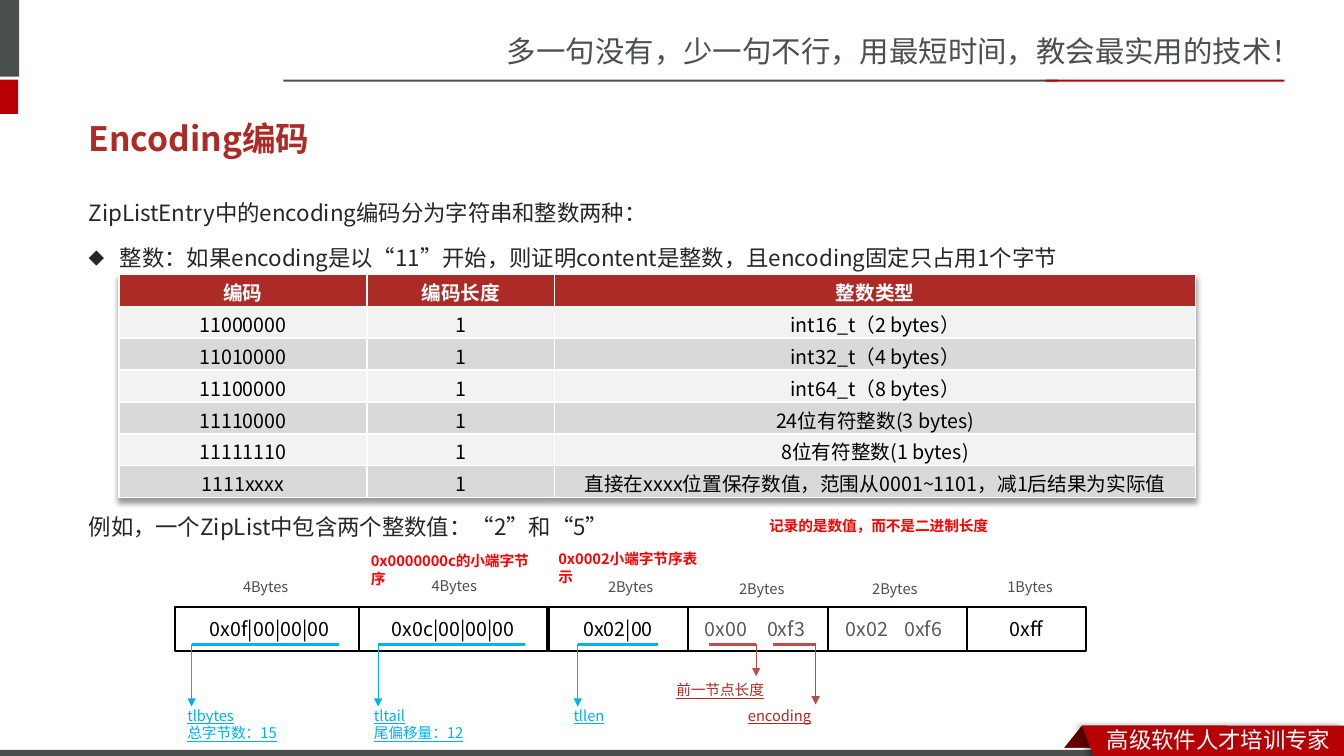
from dataclasses import dataclass

from lxml import etree
from pptx import Presentation
from pptx.dml.color import RGBColor
from pptx.enum.shapes import MSO_CONNECTOR, MSO_SHAPE
from pptx.enum.text import MSO_ANCHOR, MSO_AUTO_SIZE, PP_ALIGN
from pptx.oxml.ns import qn
from pptx.util import Pt

RECT, SLANT = MSO_SHAPE.RECTANGLE, MSO_SHAPE.PARALLELOGRAM
STRAIGHT = MSO_CONNECTOR.STRAIGHT
LEFT, CENTER = PP_ALIGN.LEFT, PP_ALIGN.CENTER
TOP, MIDDLE = MSO_ANCHOR.TOP, MSO_ANCHOR.MIDDLE
EMU_PER_PX = 9144  # 100 px to the inch


@dataclass(frozen=True)
class Theme:
    font: str = "Noto Sans CJK SC"
    mono: str = "Courier New"
    white: str = "FFFFFF"
    black: str = "000000"
    ink: str = "262626"
    slate: str = "49504F"
    gray: str = "595959"
    accent: str = "AD2B26"
    ribbon: str = "B60004"
    fold: str = "680000"
    rose: str = "BF4C48"
    sky: str = "00B0F0"
    alert: str = "FF0000"
    bands: tuple = ("F2F2F2", "D9D9D9")
    title: float = 24
    slogan: float = 21
    body: float = 16
    cell: float = 14
    small: float = 10.5


THEME = Theme()

TITLE = "Encoding编码"
SLOGAN = "多一句没有，少一句不行，用最短时间，教会最实用的技术！"
TAGLINE = "高级软件人才培训专家"
# text, bulleted, points before
BODY = [
    ("ZipListEntry中的encoding编码分为字符串和整数两种：", False, 0),
    ("整数：如果encoding是以“11”开始，则证明content是整数，且encoding固定只占用1个字节", True, 0),
    ("例如，一个ZipList中包含两个整数值：“2”和“5”", False, 160),
]
COLUMN_WIDTHS = (246, 186, 636)
ENCODINGS = [
    ("编码", "编码长度", "整数类型"),
    ("11000000", "1", "int16_t（2 bytes）"),
    ("11010000", "1", "int32_t（4 bytes）"),
    ("11100000", "1", "int64_t（8 bytes）"),
    ("11110000", "1", "24位有符整数(3 bytes)"),
    ("11111110", "1", "8位有符整数(1 bytes)"),
    ("1111xxxx", "1", "直接在xxxx位置保存数值，范围从0001~1101，减1后结果为实际值"),
]
# left, width, value, byte count, byte count left, byte count top
FIELDS = [
    (174, 187, "0x0f|00|00|00", "4Bytes", 216, 568),
    (356, 187, "0x0c|00|00|00", "4Bytes", 403, 567),
    (544, 138, "0x02|00", "2Bytes", 578, 568),
    (682, 140, "", "2Bytes", 708, 570),
    (821, 140, "", "2Bytes", 840, 570),
    (959, 118, "0xff", "1Bytes", 974, 568),
]
ENTRY_BYTES = [(689, "0x00"), (751, "0xf3"), (829, "0x02"), (887, "0xf6")]
# underline from, to, arrow x, arrow end, line colour, text colour, label box, label
CALLOUTS = [
    (190, 336, 190, 701, THEME.sky, THEME.sky, (176, 696, 138, 45), "tlbytes\n总字节数：15"),
    (375, 521, 375, 701, THEME.sky, THEME.sky, (361, 696, 138, 45), "tltail\n尾偏移量：12"),
    (573, 653, 573, 701, THEME.sky, THEME.sky, (559, 696, 66, 28), "tllen"),
    (703, 750, 750, 671, THEME.rose, THEME.accent, (661, 671, 110, 28), "前一节点长度"),
    (767, 809, 809, 699, THEME.rose, THEME.accent, (732, 696, 107, 28), "encoding"),
]
NOTES = [
    ((544, 541, 167, 28), "0x0002小端字节序表示", THEME.font),
    ((358, 543, 182, 28), "0x0000000c的小端字节序", THEME.font),
    ((753, 508, 245, 28), "记录的是数值，而不是二进制长度", THEME.mono),
]
FRAME = [
    (SLANT, (1049, 720, 168, 30), THEME.fold),
    (RECT, (0, 742, 1333, 11), THEME.white),
    (RECT, (-6, 0, 25, 76), THEME.slate),
    (RECT, (-6, 79, 24, 34), THEME.ribbon),
    (RECT, (281, 79, 768, 2), THEME.slate),
    (RECT, (1037, 79, 237, 2), THEME.ribbon),
    (RECT, (0, 744, 1099, 9), THEME.slate),
]
RIBBON = [(1073, 720), (1333, 720), (1333, 754), (1086, 753)]
FIELD_TOP, FIELD_HEIGHT, UNDERLINE_Y = 602, 44, 639


def px(*lengths):
    return [round(length * EMU_PER_PX) for length in lengths]


def rgb(color):
    return RGBColor.from_string(color)


def child(parent, tag, **attributes):
    return etree.SubElement(parent, qn(tag), {k: str(v) for k, v in attributes.items()})


def drop_shadow(effects, blur, distance, angle):
    blur, distance = px(blur, distance)
    shadow = child(effects, "a:outerShdw", blurRad=blur, dist=distance,
                   dir=angle * 60000, algn="t", rotWithShape=0)
    child(child(shadow, "a:srgbClr", val=THEME.black), "a:alpha", val=40000)


def style(frame, size, color, align=LEFT, anchor=TOP, bold=False, underline=False, font=THEME.font):
    frame.word_wrap = True
    frame.vertical_anchor = anchor
    for paragraph in frame.paragraphs:
        paragraph.alignment = align
        for run in paragraph.runs:
            run.font.size, run.font.name = Pt(size), font
            run.font.bold, run.font.underline = bold, underline
            run.font.color.rgb = rgb(color)
            child(run.font._element, "a:ea", typeface=THEME.font)


def add_label(slide, box, text, size, color, **look):
    frame = slide.shapes.add_textbox(*px(*box)).text_frame
    frame.text = text
    style(frame, size, color, **look)


def paint(shape, fill, outline=None):
    shape.shadow.inherit = False
    shape.fill.solid()
    shape.fill.fore_color.rgb = rgb(fill)
    if outline:
        shape.line.color.rgb, shape.line.width = rgb(outline), Pt(1.5)
    else:
        shape.line.fill.background()


def add_line(slide, start, end, color, width, arrow=False):
    line = slide.shapes.add_connector(STRAIGHT, *px(*start, *end))
    line.line.color.rgb, line.line.width = rgb(color), Pt(width)
    properties = line._element.spPr
    if arrow:
        child(properties.find(qn("a:ln")), "a:tailEnd", type="triangle")
    child(properties, "a:effectLst")


def place(placeholder, box):
    placeholder.left, placeholder.top, placeholder.width, placeholder.height = px(*box)
    placeholder.text_frame.auto_size = MSO_AUTO_SIZE.NONE
    return placeholder.text_frame


def draw_frame(slide):
    for kind, box, color in FRAME:
        shape = slide.shapes.add_shape(kind, *px(*box))
        if kind == SLANT:
            shape.adjustments[0] = 0.8
        paint(shape, color)
    builder = slide.shapes.build_freeform(*RIBBON[0], scale=EMU_PER_PX)
    builder.add_line_segments(RIBBON[1:], close=True)
    ribbon = builder.convert_to_shape()
    paint(ribbon, THEME.ribbon)
    drop_shadow(ribbon._element.spPr.find(qn("a:effectLst")), 6, 4, 180)
    add_label(slide, (493, 28, 841, 47), SLOGAN, THEME.slogan, THEME.slate)
    add_label(slide, (1088, 715, 245, 37), TAGLINE, THEME.body, THEME.white)


def write_text(slide):
    title = place(slide.shapes.title, (78, 116, 1170, 42))
    title.text = TITLE
    style(title, THEME.title, THEME.accent, anchor=MIDDLE, bold=True)

    body = place(slide.placeholders[1], (78, 180, 1170, 360))
    body.margin_top = body.margin_bottom = 0
    body.text = "\n".join(text for text, _, _ in BODY)
    style(body, THEME.body, THEME.ink)
    for paragraph, (_, bulleted, before) in zip(body.paragraphs, BODY):
        paragraph.line_spacing, paragraph.space_before = Pt(32), Pt(before)
        properties = paragraph._p.get_or_add_pPr()
        indent = px(31)[0] if bulleted else 0
        properties.set("marL", str(indent))
        properties.set("indent", str(-indent))
        if bulleted:
            child(properties, "a:buSzPct", val=70000)
            child(properties, "a:buFont", typeface=THEME.font)
            child(properties, "a:buChar", char="◆")
        else:
            child(properties, "a:buNone")


def draw_encodings(slide):
    box = px(118, 272, sum(COLUMN_WIDTHS), 222)
    table = slide.shapes.add_table(len(ENCODINGS), len(COLUMN_WIDTHS), *box).table
    effects = etree.Element(qn("a:effectLst"))
    drop_shadow(effects, 5, 3, 90)
    table._tbl.tblPr.insert(0, effects)
    for column, width in zip(table.columns, px(*COLUMN_WIDTHS)):
        column.width = width
    for r, row in enumerate(ENCODINGS):
        header = r == 0
        for c, text in enumerate(row):
            cell = table.cell(r, c)
            cell.text = text
            cell.margin_left, cell.margin_right, cell.margin_top, cell.margin_bottom = px(8, 8, 3, 0)
            cell.vertical_anchor = MIDDLE
            cell.fill.solid()
            cell.fill.fore_color.rgb = rgb(THEME.accent if header else THEME.bands[(r - 1) % 2])
            style(cell.text_frame, THEME.cell, THEME.white if header else THEME.black,
                  CENTER, MIDDLE, bold=header)


def draw_ziplist(slide):
    for left, width, value, count, count_left, count_top in FIELDS:
        field = slide.shapes.add_shape(RECT, *px(left, FIELD_TOP, width, FIELD_HEIGHT))
        paint(field, THEME.white, THEME.black)
        if value:
            field.text_frame.text = value
            style(field.text_frame, THEME.cell, THEME.black, CENTER, MIDDLE)
        add_label(slide, (count_left, count_top, 95, 28), count, THEME.small, THEME.slate, align=CENTER)
    for left, value in ENTRY_BYTES:
        add_label(slide, (left, FIELD_TOP + 5, 67, 34), value, THEME.cell, THEME.gray)
    for start, end, arrow_x, arrow_end, color, ink, box, text in CALLOUTS:
        add_line(slide, (start, UNDERLINE_Y), (end, UNDERLINE_Y), color, 2.25)
        add_line(slide, (arrow_x, UNDERLINE_Y), (arrow_x, arrow_end), color, 0.75, arrow=True)
        add_label(slide, box, text, THEME.small, ink, underline=True)
    for box, text, font in NOTES:
        add_label(slide, box, text, THEME.small, THEME.alert, bold=True, font=font)


def main():
    deck = Presentation()
    deck.slide_width, deck.slide_height = px(1333, 750)
    slide = deck.slides.add_slide(deck.slide_layouts[1])
    draw_frame(slide)
    write_text(slide)
    draw_encodings(slide)
    draw_ziplist(slide)
    deck.save("out.pptx")


if __name__ == "__main__":
    main()
